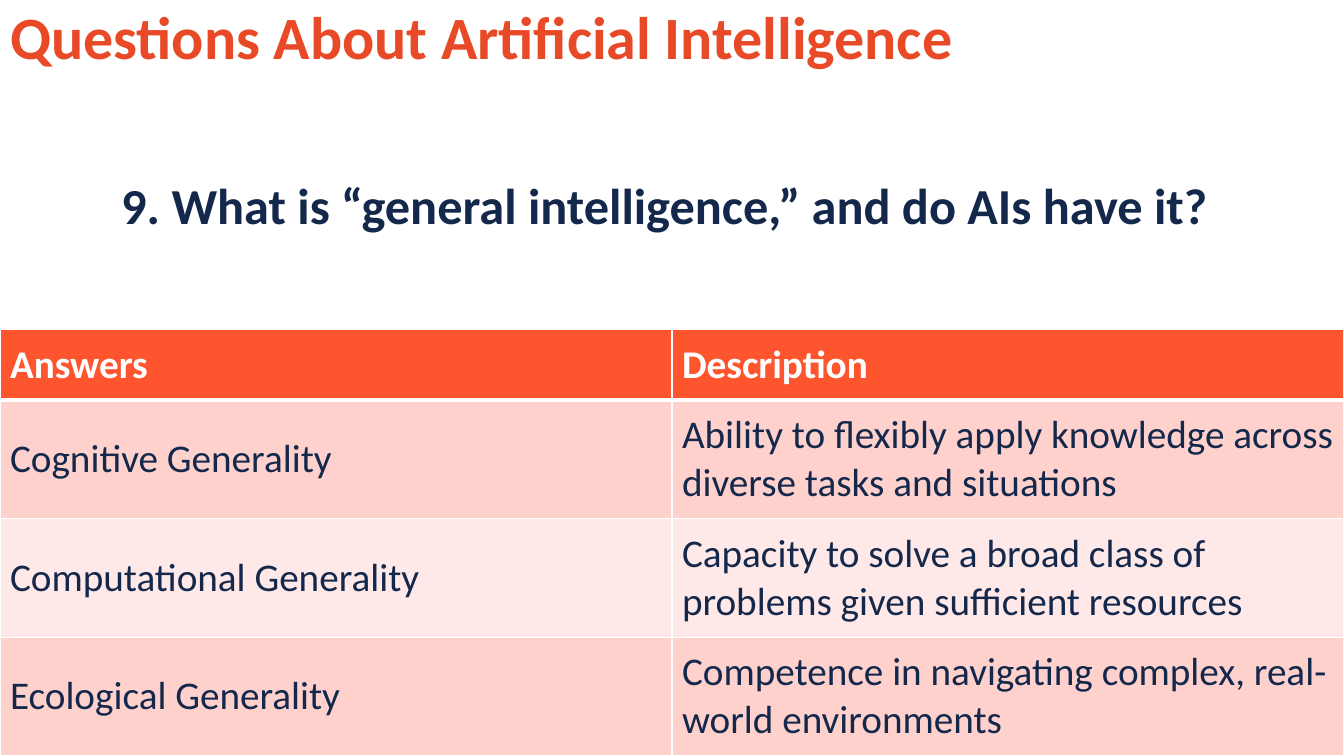
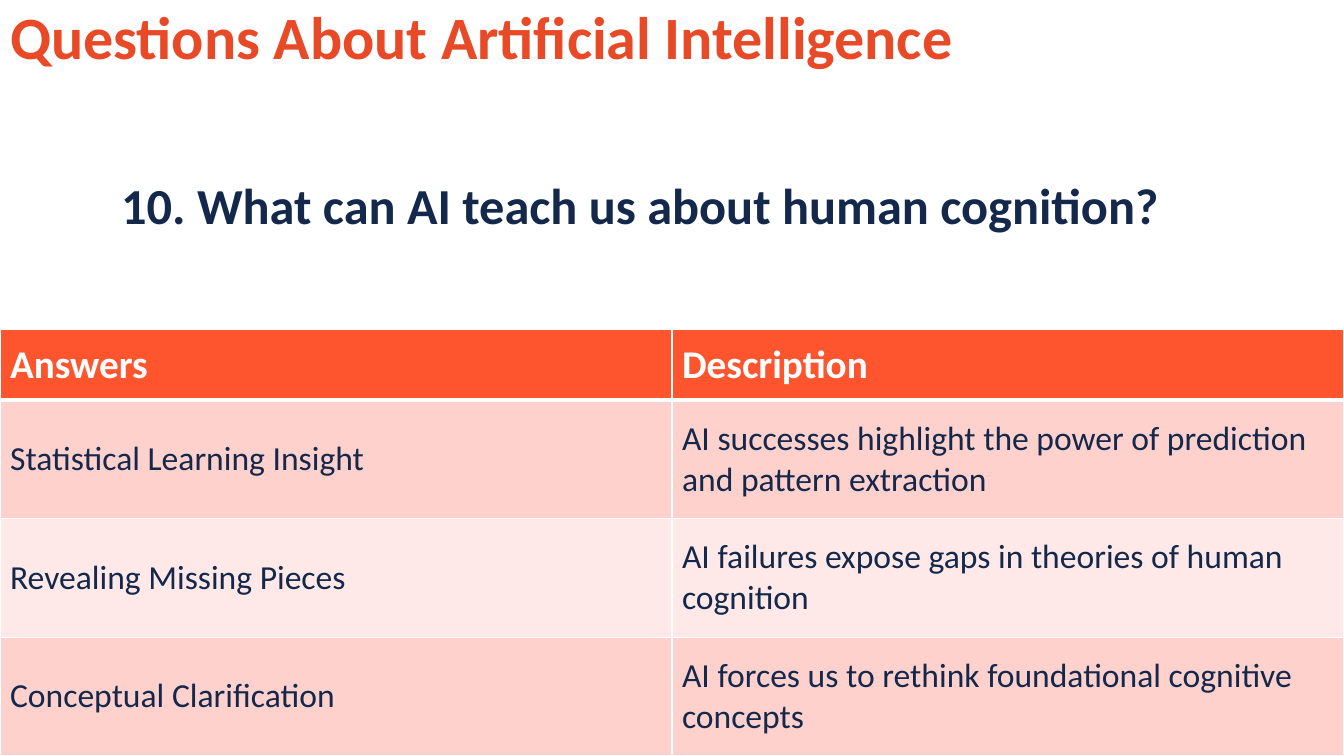
from pptx import Presentation
from pptx.dml.color import RGBColor as Rgb
from pptx.enum.text import MSO_ANCHOR as Anchor, MSO_AUTO_SIZE as Fit, PP_ALIGN as Align
from pptx.oxml import parse_xml
from pptx.oxml.ns import nsdecls
from pptx.util import Emu, Pt

PX = 9525  # 96 px to the inch
WIDE, HIGH = 1280, 720
FONT = "Calibri"
INK = {
    "title": "E84A27",
    "navy": "13284B",
    "white": "FFFFFF",
    "head": "FF552E",
    "odd": "FFD1CD",
    "even": "FFE9E8",
}

TITLE = "Questions About Artificial Intelligence"
HEAD = ("Answers", "Description")

# Question, size of the answers, rows of answers
SLIDES = [
    ("9. What is “general intelligence,” and do AIs have it?", 28, [
        ("Cognitive Generality",
         "Ability to flexibly apply knowledge across diverse tasks and situations"),
        ("Computational Generality",
         "Capacity to solve a broad class of problems given sufficient resources"),
        ("Ecological Generality",
         "Competence in navigating complex, real-world environments"),
    ]),
    ("10. What can AI teach us about human cognition?", 24, [
        ("Statistical Learning Insight",
         "AI successes highlight the power of prediction and pattern extraction"),
        ("Revealing Missing Pieces",
         "AI failures expose gaps in theories of human cognition"),
        ("Conceptual Clarification",
         "AI forces us to rethink foundational cognitive concepts"),
    ]),
]


def px(n):
    return Emu(n * PX)


def write(frame, text, size=28, ink="navy", bold=False, line=None):
    frame.word_wrap = True
    para = frame.paragraphs[0]
    para.alignment = Align.LEFT
    if line:
        para.line_spacing = line
    run = para.add_run()
    run.text = text
    font = run.font
    font.name, font.size, font.bold = FONT, Pt(size), bold
    font.color.rgb = Rgb.from_string(INK[ink])


def add_title(slide):
    shape = slide.shapes.title
    shape.left, shape.top = px(0), px(0)
    shape.width, shape.height = px(1206), px(77)
    frame = shape.text_frame
    frame.auto_size = Fit.NONE
    frame.vertical_anchor = Anchor.MIDDLE
    write(frame, TITLE, size=42.9, ink="title", bold=True, line=0.9)


def add_query(slide, text):
    box = slide.shapes.add_textbox(px(106), px(161), px(1069), px(68))
    box.text_frame.auto_size = Fit.SHAPE_TO_FIT_TEXT
    write(box.text_frame, text, size=36, bold=True)


def edge(cell, top, base):
    props = cell._tc.get_or_add_tcPr()
    for side, width in zip("LRTB", (1, 1, top, base)):
        props.append(parse_xml(
            f'<a:ln{side} {nsdecls("a")} w="{Pt(width)}"><a:solidFill>'
            f'<a:srgbClr val="{INK["white"]}"/></a:solidFill></a:ln{side}>'))


def add_grid(slide, rows, size, top=314, head=67):
    rows = [HEAD, *rows]
    grid = slide.shapes.add_table(
        len(rows), len(HEAD), px(0), px(top), px(WIDE), px(HIGH - top)).table
    grid.first_row = grid.horz_banding = False
    for col in grid.columns:
        col.width = px(WIDE // len(HEAD))
    for i, row in enumerate(rows):
        first = i == 0
        tall = (HIGH - top - head) // (len(rows) - 1)
        grid.rows[i].height = px(head if first else tall)
        fill = "head" if first else "odd" if i % 2 else "even"
        for j, text in enumerate(row):
            cell = grid.cell(i, j)
            # A thick rule parts the heading from the answers
            edge(cell, top=3 if i == 1 else 1, base=3 if first else 1)
            cell.fill.solid()
            cell.fill.fore_color.rgb = Rgb.from_string(INK[fill])
            cell.vertical_anchor = Anchor.MIDDLE
            write(cell.text_frame, text, size=28 if first else size,
                  ink="white" if first else "navy", bold=first)


def main():
    deck = Presentation()
    deck.slide_width, deck.slide_height = px(WIDE), px(HIGH)
    for query, size, rows in SLIDES:
        slide = deck.slides.add_slide(deck.slide_layouts[5])
        add_title(slide)
        add_grid(slide, rows, size)
        add_query(slide, query)
    deck.save("out.pptx")


if __name__ == "__main__":
    main()
